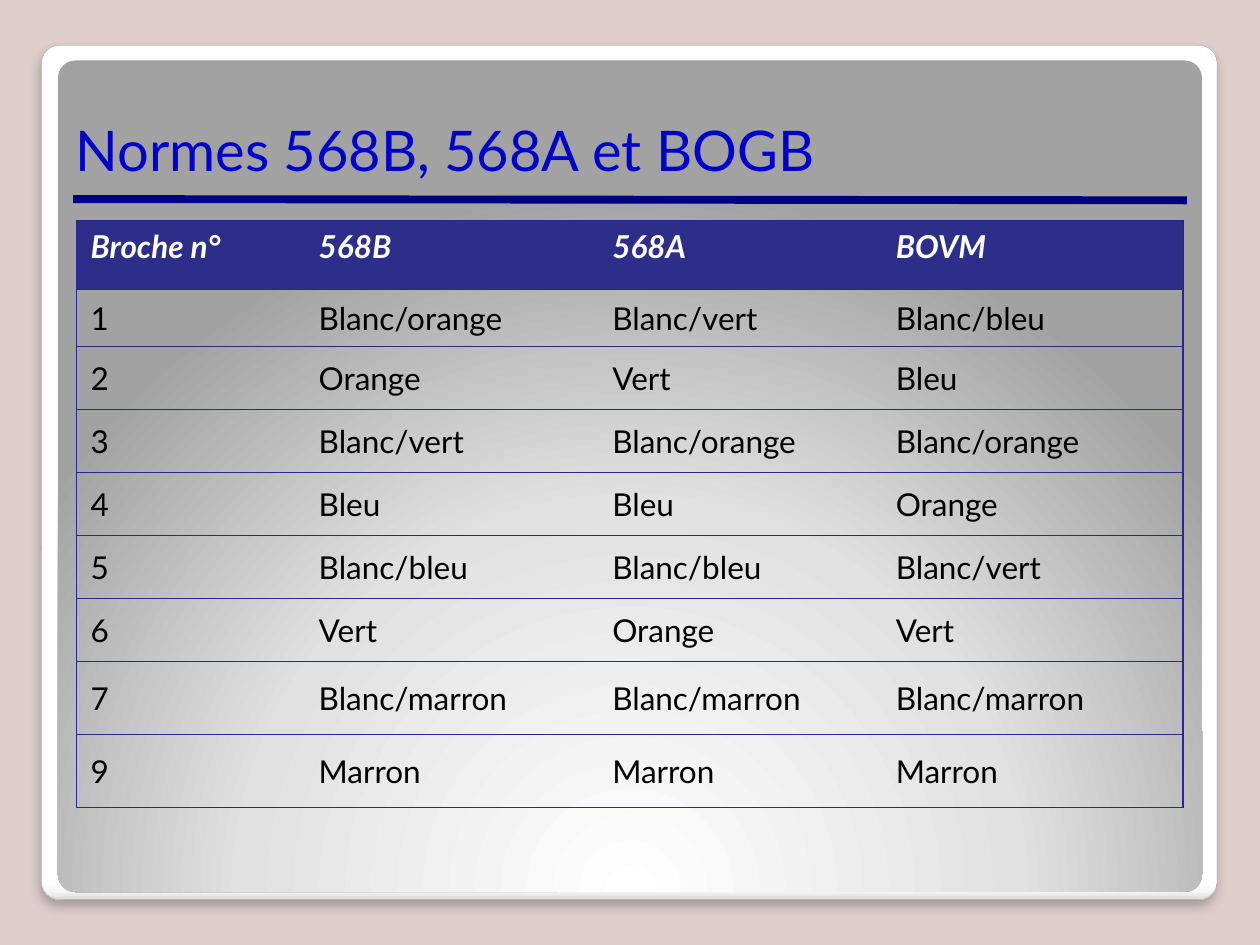
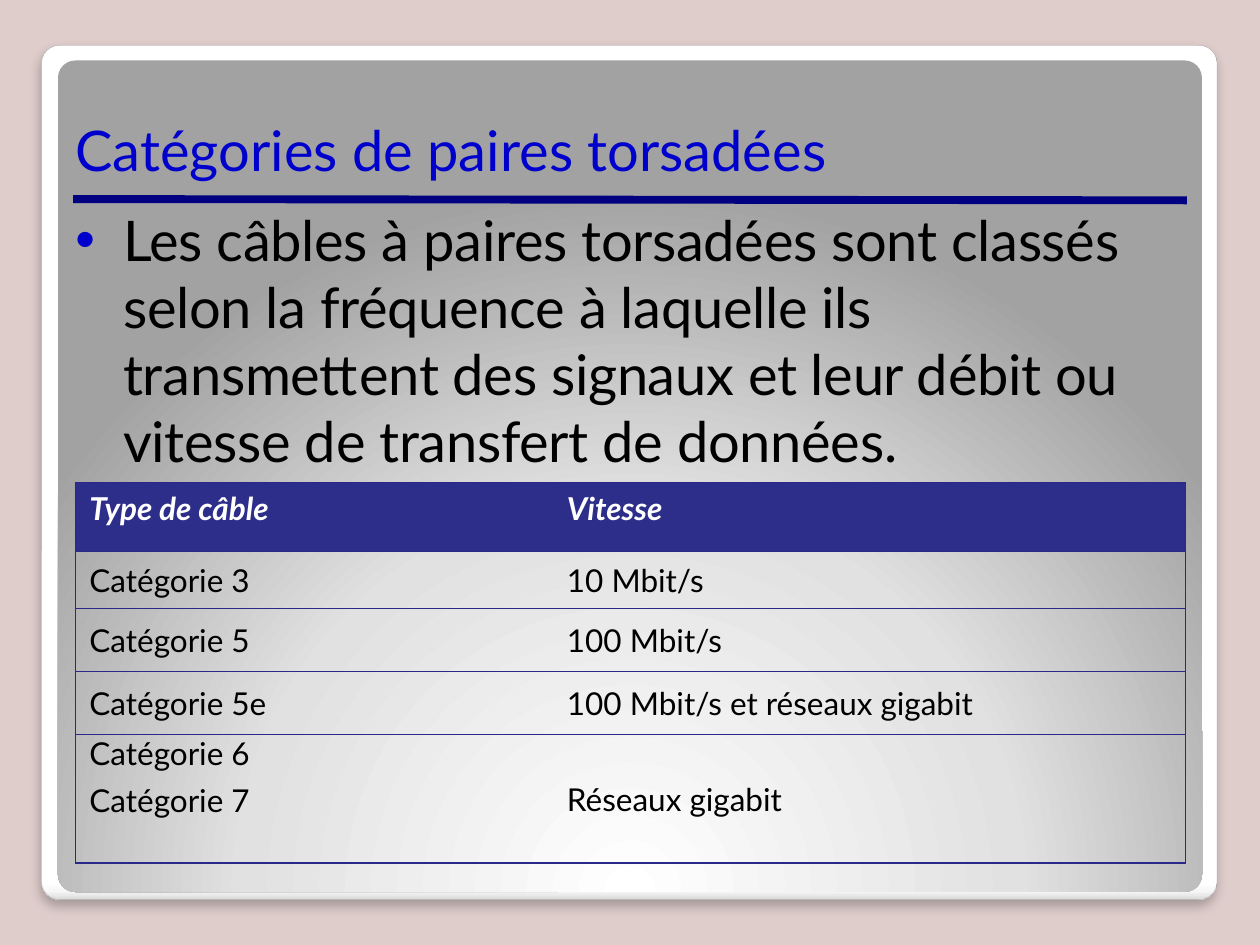
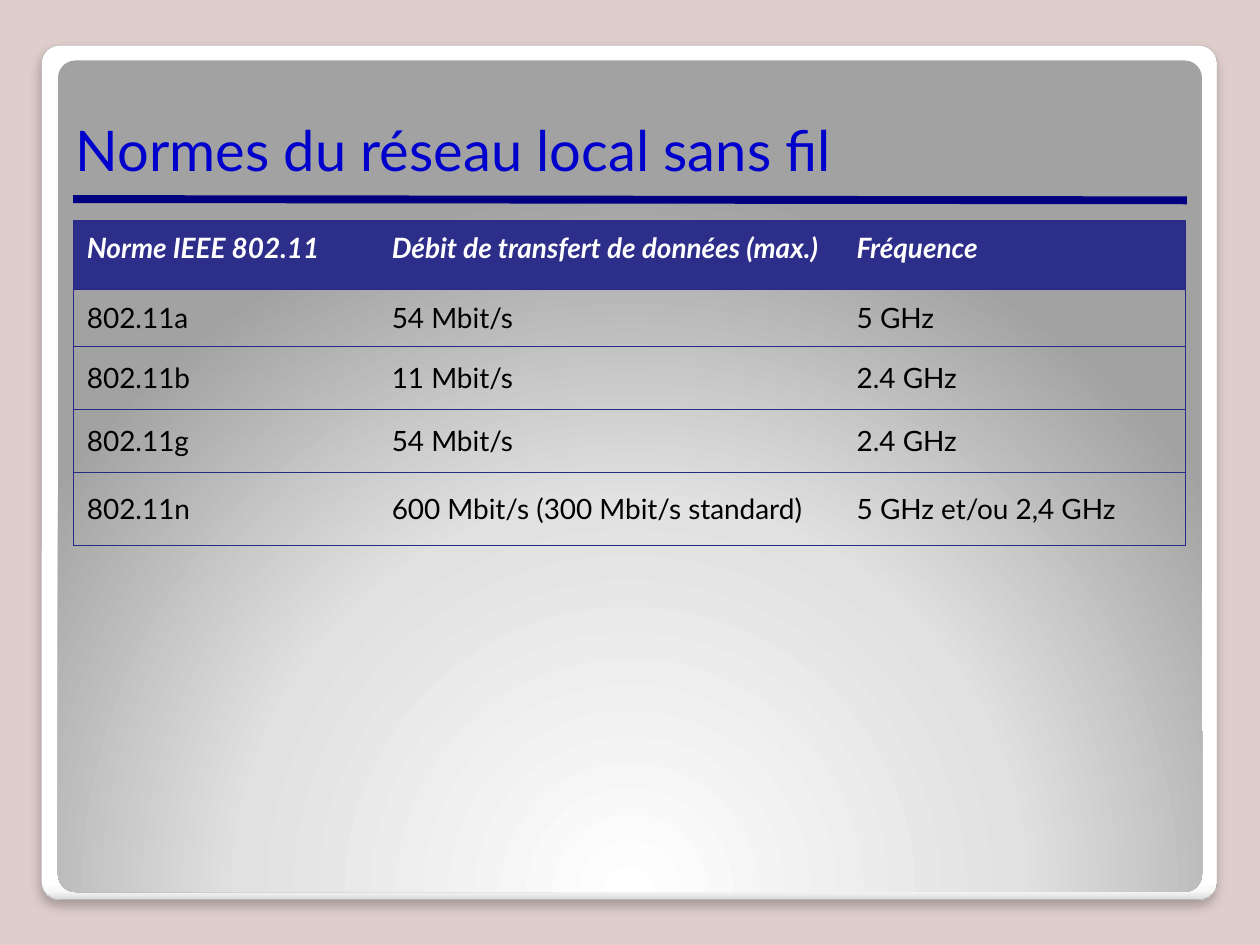
from lxml.etree import SubElement
from pptx import Presentation
from pptx.dml.color import RGBColor
from pptx.enum.shapes import MSO_CONNECTOR, MSO_SHAPE
from pptx.enum.text import MSO_ANCHOR
from pptx.oxml import parse_xml
from pptx.oxml.ns import nsdecls, qn
from pptx.util import Inches, Pt

FONT = "Lato"
PAGE = "DECDCB"
BLUE = "0000CC"
RULE = "000080"
HEAD = "2D2D8A"
EDGE = "292989"
BLACK = "000000"
WHITE = "FFFFFF"
PLAIN = "{2D5ABB26-0587-4C30-8999-92F81FD0307C}"
ROWS = [0.55, 0.45, 0.5, 0.5]


def color(code):
    """Turn a hex string into a colour."""
    return RGBColor.from_string(code)


def add(parent, tag, **attrs):
    """Append a drawing element with its attributes."""
    return SubElement(parent, qn("a:" + tag), {k: str(v) for k, v in attrs.items()})


def put(frame, text, size=18, ink=BLACK, bold=False, slant=False,
        anchor=MSO_ANCHOR.TOP, left=0, hang=0, after=0, line=None,
        bullet=None, track=0):
    """Write each line of text as a paragraph with one format."""
    frame.word_wrap = True
    frame.vertical_anchor = anchor
    for num, words in enumerate(text.split("\n")):
        para = frame.add_paragraph() if num else frame.paragraphs[0]
        props = para._p.get_or_add_pPr()
        props.set("marL", str(Inches(left)))
        props.set("indent", str(Inches(-hang)))
        para.space_after = Pt(after)
        if line:
            para.line_spacing = Pt(line)
        if bullet:
            add(add(props, "buClr"), "srgbClr", val=BLUE)
            add(props, "buFont", typeface="Arial")
            add(props, "buChar", char=bullet)
        run = para.add_run()
        run.text = words
        font = run.font
        font.name, font.size = FONT, Pt(size)
        font.bold, font.italic = bold, slant
        font.color.rgb = color(ink)
        if track:
            run._r.get_or_add_rPr().set("spc", str(track))


def blend(shape, stops, path=None):
    """Fill a shape with a vertical or a circular gradient."""
    shape.fill.background()
    grad = parse_xml(f"<a:gradFill {nsdecls('a')} rotWithShape='1'/>")
    items = add(grad, "gsLst")
    for spot, code in stops:
        add(add(items, "gs", pos=spot * 1000), "srgbClr", val=code)
    if path:
        sides = {k: v * 1000 for k, v in zip("ltrb", path)}
        add(add(grad, "path", path="circle"), "fillToRect", **sides)
    else:
        add(grad, "lin", ang=5400000, scaled=0)
    props = shape._element.spPr
    props.replace(props.find(qn("a:noFill")), grad)


def panel(slide, box, stops, path=None):
    """Add a rounded panel with a gradient and no line."""
    shape = slide.shapes.add_shape(MSO_SHAPE.ROUNDED_RECTANGLE, *map(Inches, box))
    shape.adjustments[0] = 0.021
    blend(shape, stops, path)
    shape.line.fill.background()
    shape.shadow.inherit = False
    return shape


def base(deck, title):
    """Add a slide with its frame, title and rule."""
    slide = deck.slides.add_slide(deck.slide_layouts[6])
    back = slide.background.fill
    back.solid()
    back.fore_color.rgb = color(PAGE)
    outer = panel(slide, (0.33, 0.36, 9.33, 6.78),
                  [(0, WHITE), (98, WHITE), (99, "F7F7F7"), (100, "DADADA")])
    outer.line.color.rgb = color("A4A4A4")
    outer.line.width = Pt(0.16)
    glow = add(outer._element.spPr.find(qn("a:effectLst")), "outerShdw",
               blurRad=Pt(6), dist=Pt(4), dir=5400000, algn="t", rotWithShape=0)
    add(add(glow, "srgbClr", val=BLACK), "alpha", val=25000)
    panel(slide, (0.46, 0.48, 9.08, 6.6),
          [(0, WHITE), (55, "E1E1E1"), (100, "A2A2A2")], (50, 175, 50, -75))
    rule = slide.shapes.add_connector(
        MSO_CONNECTOR.STRAIGHT, *map(Inches, (0.58, 1.58, 9.42, 1.59)))
    rule.line.color.rgb = color(RULE)
    rule.line.width = Pt(4.5)
    add(rule._element.spPr, "effectLst")
    note(slide, (0.5, 0.5, 9, 1), title, size=32, ink=BLUE, anchor=MSO_ANCHOR.BOTTOM)
    return slide


def note(slide, box, text, **form):
    """Add a text box."""
    put(slide.shapes.add_textbox(*map(Inches, box)).text_frame, text, **form)


def border(cell, sides):
    """Draw the named cell sides and clear the others."""
    props = cell._tc.get_or_add_tcPr()
    for num, side in enumerate("LRTB"):
        edge = parse_xml(f"<a:ln{side} {nsdecls('a')} w='{Pt(0.75)}'/>")
        if side in sides:
            add(add(edge, "solidFill"), "srgbClr", val=EDGE)
        else:
            add(edge, "noFill")
        props.insert(num, edge)


def grid(slide, left, top, cols, rows, data, size=18):
    """Add a table with a dark header and thin row lines."""
    frame = slide.shapes.add_table(
        len(rows), len(cols), *map(Inches, (left, top, sum(cols), sum(rows))))
    table = frame.table
    table.horz_banding = False
    table._tbl.tblPr.find(qn("a:tableStyleId")).text = PLAIN
    for col, wide in zip(table.columns, cols):
        col.width = Inches(wide)
    for row, high in zip(table.rows, rows):
        row.height = Inches(high)
    for r, line in enumerate(data):
        for c, text in enumerate(line):
            cell = table.cell(r, c)
            cell.margin_left = cell.margin_right = Inches(0.07)
            cell.margin_top = cell.margin_bottom = 0
            form = dict(size=size, left=0.04, after=5)
            if r == 0:
                cell.fill.solid()
                cell.fill.fore_color.rgb = color(HEAD)
                form.update(ink=WHITE, bold=True, slant=True, line=11)
            else:
                cell.fill.background()
            put(cell.text_frame, text, **form)
            many = "\n" in text
            cell.vertical_anchor = MSO_ANCHOR.TOP if many else MSO_ANCHOR.MIDDLE
            border(cell, "TB" + "L" * (c == 0) + "R" * (c == len(cols) - 1))


def pins(deck):
    """Build the slide on wiring norms."""
    slide = base(deck, "Normes 568B, 568A et BOGB")
    grid(slide, 0.61, 1.75, [1.81, 2.33, 2.25, 2.39],
         ROWS + [0.5] * 3 + [0.58] * 2, [
             ("Broche n°", "568B", "568A", "BOVM"),
             ("1", "Blanc/orange", "Blanc/vert", "Blanc/bleu"),
             ("2", "Orange", "Vert", "Bleu"),
             ("3", "Blanc/vert", "Blanc/orange", "Blanc/orange"),
             ("4", "Bleu", "Bleu", "Orange"),
             ("5", "Blanc/bleu", "Blanc/bleu", "Blanc/vert"),
             ("6", "Vert", "Orange", "Vert"),
             ("7", "Blanc/marron", "Blanc/marron", "Blanc/marron"),
             ("9", "Marron", "Marron", "Marron")])


def pairs(deck):
    """Build the slide on cable categories."""
    slide = base(deck, "Catégories de paires torsadées")
    note(slide, (0.5, 1.58, 9, 5.5),
         "Les câbles à paires torsadées sont classés selon la fréquence à laquelle "
         "ils transmettent des signaux et leur débit ou vitesse de transfert de données.",
         size=32, left=0.38, hang=0.38, bullet="•", track=-20)
    grid(slide, 0.6, 3.83, [3.79, 5.02], ROWS + [1.02], [
        ("Type de câble", "Vitesse"),
        ("Catégorie 3", "10 Mbit/s"),
        ("Catégorie 5", "100 Mbit/s"),
        ("Catégorie 5e", "100 Mbit/s et réseaux gigabit"),
        ("Catégorie 6\nCatégorie 7", "Réseaux gigabit")])


def radio(deck):
    """Build the slide on wireless norms."""
    slide = base(deck, "Normes du réseau local sans fil")
    grid(slide, 0.58, 1.75, [2.42, 3.69, 2.72], ROWS + [0.58], [
        ("Norme IEEE 802.11", "Débit de transfert de données (max.)", "Fréquence"),
        ("802.11a", "54 Mbit/s", "5 GHz"),
        ("802.11b", "11 Mbit/s", "2.4 GHz"),
        ("802.11g", "54 Mbit/s", "2.4 GHz"),
        ("802.11n", "600 Mbit/s (300 Mbit/s standard)", "5 GHz et/ou 2,4 GHz")],
        size=16)


def main():
    """Build and save the deck."""
    deck = Presentation()
    deck.slide_width, deck.slide_height = Inches(10), Inches(7.5)
    for build in (pins, pairs, radio):
        build(deck)
    deck.save("out.pptx")


if __name__ == "__main__":
    main()
